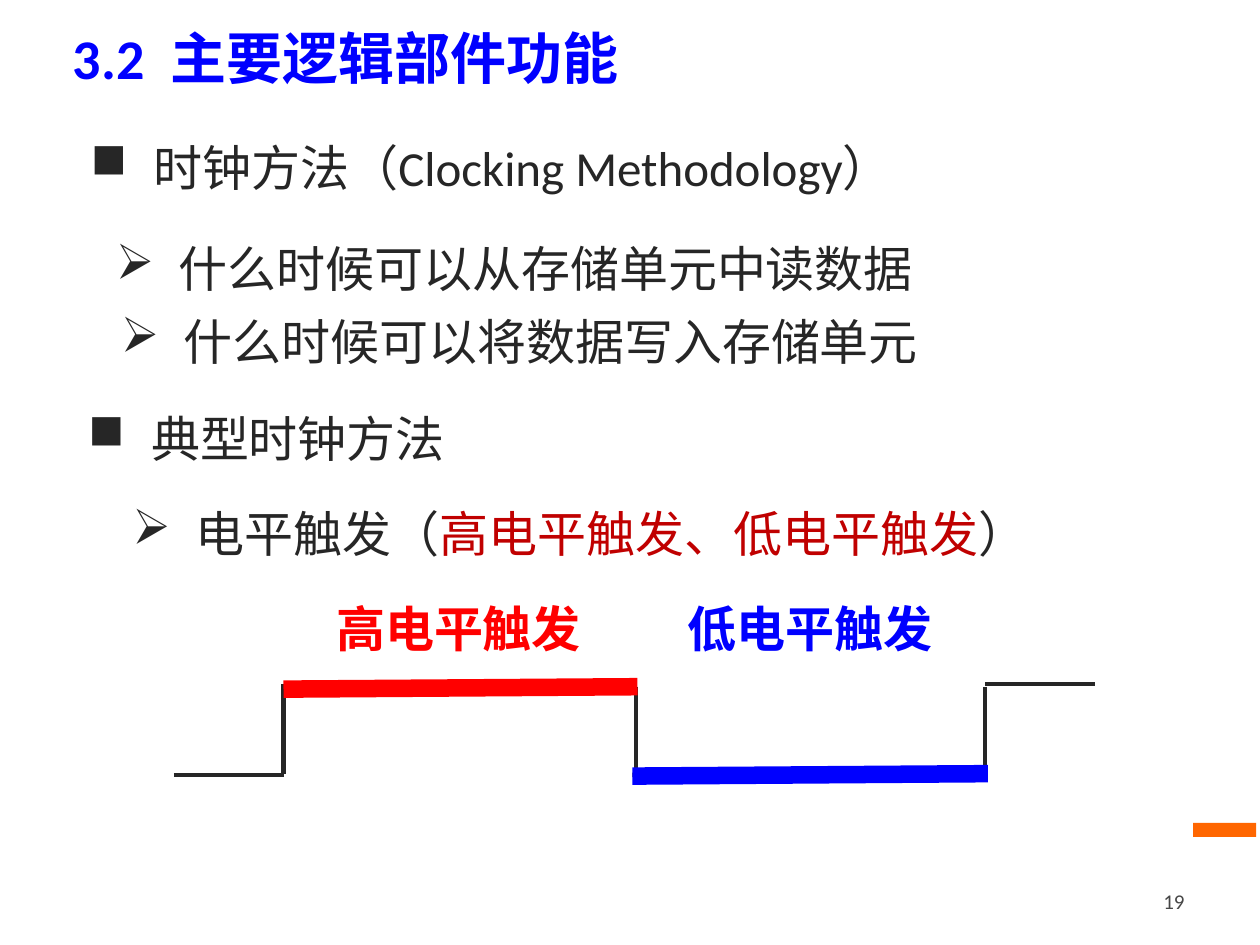
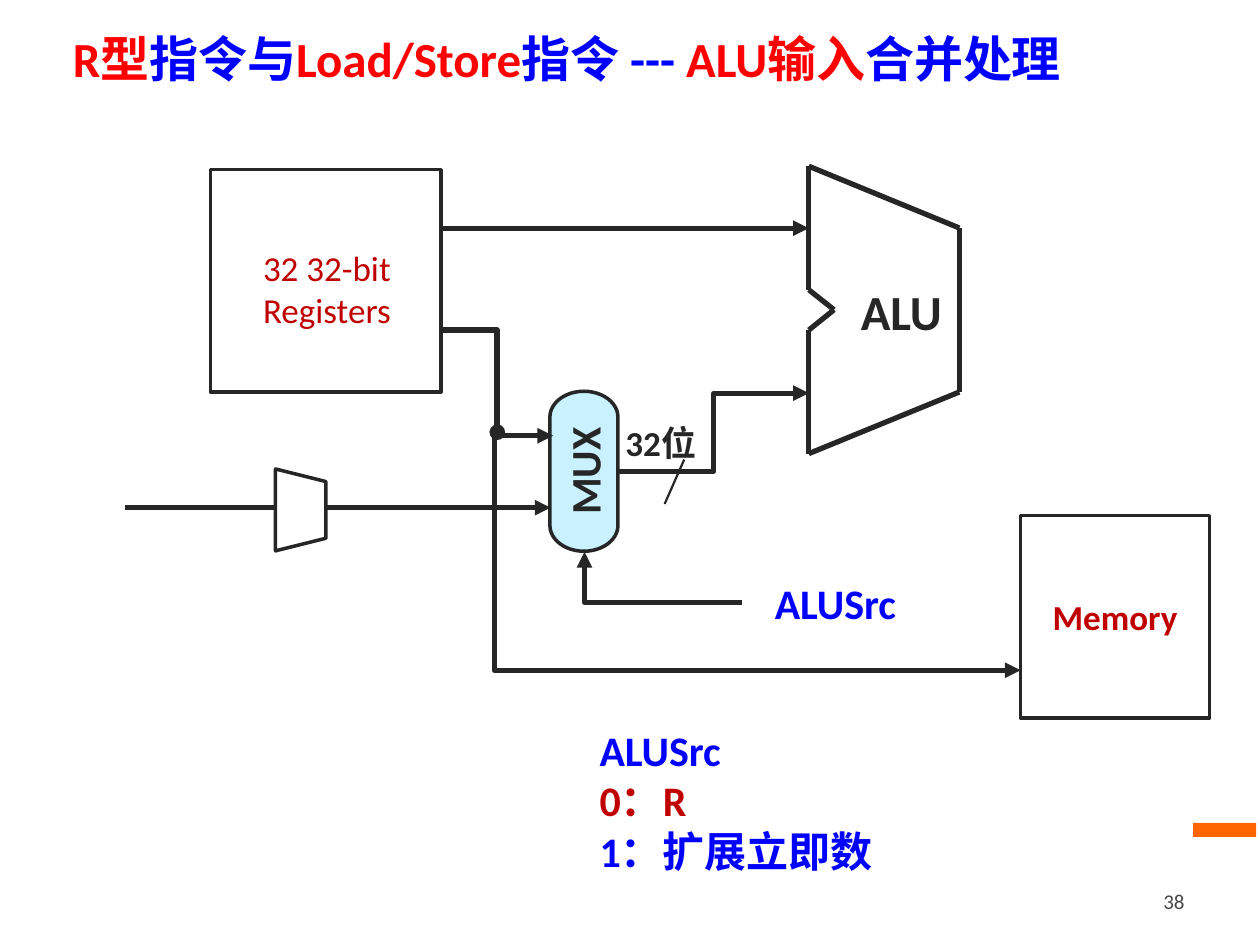
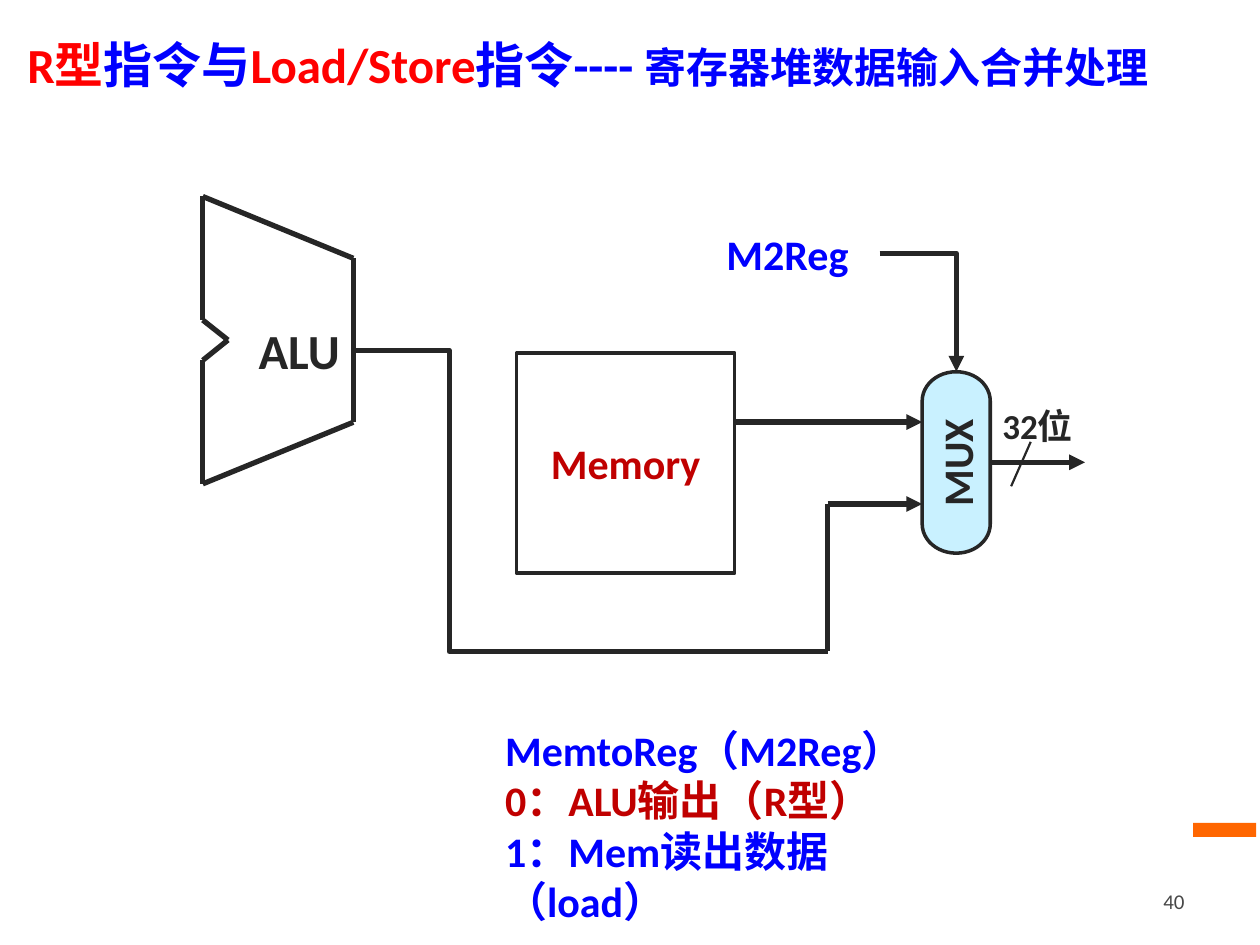
from lxml import etree
from pptx import Presentation
from pptx.dml.color import RGBColor
from pptx.enum.lang import MSO_LANGUAGE_ID
from pptx.enum.shapes import MSO_CONNECTOR, MSO_SHAPE
from pptx.enum.text import MSO_ANCHOR, MSO_AUTO_SIZE, PP_ALIGN
from pptx.oxml.ns import qn
from pptx.util import Pt

COLORS = {
    "ink": "262626", "blue": "0000FF", "red": "FF0000", "crimson": "C00000",
    "orange": "FF6600", "cyan": "C9F1FF", "white": "FFFFFF", "gray": "474747",
}
FONT = "Calibri"
WIDE_INSET = (7.9, 3.6)
# Corners of the ALU outline, from its top left corner
ALU_OUTLINE = [(0, 0), (0, 70.6), (14.4, 82), (0, 93.6),
               (0, 164.2), (86, 129), (86, 35.3)]


def rgb(name):
    return RGBColor.from_string(COLORS[name])


def write(tf, paras, size=24, color="ink", bold=True, align=PP_ALIGN.LEFT,
          bullet=None):
    """Write paragraphs; each is a string or a list of (text, color[, size])."""
    for i, para in enumerate(paras):
        p = tf.paragraphs[0] if i == 0 else tf.add_paragraph()
        p.alignment = align
        if bullet:
            pPr = p._p.get_or_add_pPr()
            pPr.set("marL", str(Pt(36)))
            pPr.set("indent", str(Pt(-36)))
            etree.SubElement(pPr, qn("a:buChar"), char=bullet)
        for text, c, *sz in [(para, color)] if isinstance(para, str) else para:
            r = p.add_run()
            r.text = text
            r.font.name = FONT
            r.font.size = Pt(sz[0] if sz else size)
            r.font.bold = bold
            r.font.color.rgb = rgb(c)
            r.font.language_id = MSO_LANGUAGE_ID.SIMPLIFIED_CHINESE


class Deck:
    def __init__(self):
        self.prs = Presentation()
        self.prs.slide_width, self.prs.slide_height = Pt(720), Pt(540)
        self.s = None

    def slide(self, title, number, x=34.6, y=5.8, w=662, size=28):
        """Start a slide with its accent bar, title and page number."""
        self.s = self.prs.slides.add_slide(self.prs.slide_layouts[6])
        self.shape(MSO_SHAPE.RECTANGLE, 681.8, 470.2, 36, 8,
                   fill="orange", line=None)
        self.text([title], x, y, w, 54, anchor=MSO_ANCHOR.MIDDLE, grow=False,
                  size=size, color="blue")
        self.text([number], 516.2, 500.4, 167.8, 28.8, grow=False,
                  anchor=MSO_ANCHOR.MIDDLE, size=12, color="gray", bold=False,
                  align=PP_ALIGN.RIGHT)

    def text(self, paras, x, y, w, h, inset=(7.2, 3.6), grow=True,
             anchor=MSO_ANCHOR.TOP, **fmt):
        tf = self.s.shapes.add_textbox(Pt(x), Pt(y), Pt(w), Pt(h)).text_frame
        tf.word_wrap = True
        tf.auto_size = (MSO_AUTO_SIZE.SHAPE_TO_FIT_TEXT if grow
                        else MSO_AUTO_SIZE.NONE)
        tf.vertical_anchor = anchor
        tf.margin_left = tf.margin_right = Pt(inset[0])
        tf.margin_top = tf.margin_bottom = Pt(inset[1])
        write(tf, paras, **fmt)

    def label(self, text, x, y, w, h, inset=(0, 0), **fmt):
        self.text([text], x, y, w, h, inset, align=PP_ALIGN.CENTER, **fmt)

    def shape(self, kind, x, y, w, h, text=None, fill=None, line="ink",
              rotation=0, **fmt):
        sp = self.s.shapes.add_shape(kind, Pt(x), Pt(y), Pt(w), Pt(h))
        sp.shadow.inherit = False
        sp.rotation = rotation
        if fill:
            sp.fill.solid()
            sp.fill.fore_color.rgb = rgb(fill)
        else:
            sp.fill.background()
        if line:
            sp.line.color.rgb = rgb(line)
            sp.line.width = Pt(2)
        else:
            sp.line.fill.background()
        if text:
            sp.text_frame.vertical_anchor = MSO_ANCHOR.MIDDLE
            write(sp.text_frame, [text], align=PP_ALIGN.CENTER, **fmt)

    def line(self, x1, y1, x2, y2, width=3, color="ink", head=None, tail=None,
             kind=MSO_CONNECTOR.STRAIGHT):
        c = self.s.shapes.add_connector(kind, Pt(x1), Pt(y1), Pt(x2), Pt(y2))
        c.line.color.rgb = rgb(color)
        c.line.width = Pt(width)
        ln = c.line._get_or_add_ln()
        for tag, end in (("a:headEnd", head), ("a:tailEnd", tail)):
            if end:
                etree.SubElement(ln, qn(tag), type=end)
        etree.SubElement(c._element.spPr, qn("a:effectLst"))
        return c

    def arrow(self, *ends):
        self.line(*ends, tail="triangle")

    def elbow(self, *ends, bend=0.5, corner=False, tail="triangle", head=None):
        """Bent connector: one corner, or two with the bend at a share of the width."""
        c = self.line(*ends, head=head, tail=tail, kind=MSO_CONNECTOR.ELBOW)
        geom = c._element.spPr.find(qn("a:prstGeom"))
        if corner:
            geom.set("prst", "bentConnector2")
        else:
            etree.SubElement(geom.find(qn("a:avLst")), qn("a:gd"), name="adj1",
                             fmla=f"val {round(bend * 100000)}")

    def alu(self, x, y, label_x, label_y):
        for (x1, y1), (x2, y2) in zip(ALU_OUTLINE,
                                      ALU_OUTLINE[1:] + ALU_OUTLINE[:1]):
            self.line(x + x1, y + y1, x + x2, y + y2)
        self.label("ALU", label_x, label_y, 62.6, 33.8, size=28)

    def mux(self, x, y, length):
        self.shape(MSO_SHAPE.FLOWCHART_TERMINATOR, x, y, length, 38.9, "MUX",
                   fill="cyan", rotation=270)

    def bus_width(self, x, y, slash_x):
        self.label("32位", x, y, 68.4, 31.7, WIDE_INSET, size=20)
        self.line(slash_x, y + 25, slash_x - 11.2, y + 50.4, width=1.25)


def clocking(d):
    d.slide("3.2  主要逻辑部件功能", "19", w=376.6, size=32)
    level = [("电平触发（", "ink"), ("高电平触发、低电平触发", "crimson"),
             ("）", "ink")]
    for bullet, para, x, y in [
        ("■", "时钟方法（Clocking Methodology）", 43.9, 74.9),
        ("➢", "什么时候可以从存储单元中读数据", 58.3, 132.5),
        ("➢", "什么时候可以将数据写入存储单元", 61.2, 174.2),
        ("■", "典型时钟方法", 42.5, 229.7),
        ("➢", level, 67.7, 284.4),
    ]:
        d.text([para], x, y, 548, 41.8, WIDE_INSET, size=28, bold=False,
               bullet=bullet)
    # Clock wave
    for ends in [(162, 391, 162, 442.1), (161.3, 392.4, 363.6, 391),
                 (99.4, 442.8, 162, 442.8), (363.6, 392.4, 363.6, 443.5),
                 (563, 392.4, 563, 443.5), (563, 391, 625.7, 391),
                 (361.4, 442.8, 564.5, 441.4)]:
        d.line(*ends, width=2.5)
    # Trigger levels
    for name, color, x, ends in [
        ("高电平触发", "red", 181.4, (162, 393.8, 364.3, 392.4)),
        ("低电平触发", "blue", 382.3, (361.4, 443.5, 564.5, 442.1)),
    ]:
        d.label(name, x, 338.4, 161.3, 41.8, WIDE_INSET, size=28, color=color)
        d.line(*ends, width=10, color=color)


TITLE_START = [("R型", "red"), ("指令与", "blue"), ("Load/Store", "red")]


def alu_input(d):
    d.slide(TITLE_START + [("指令 --- ", "blue"), ("ALU输入", "red"),
                           ("合并处理", "blue")], "38")
    # Registers and ALU
    d.shape(MSO_SHAPE.RECTANGLE, 120.3, 97, 131.7, 127)
    d.arrow(252, 130.4, 462.2, 130.4)
    d.text(["32 32-bit", "Registers"], 126, 137.5, 121.7, 56.2, WIDE_INSET,
           size=20, color="crimson", bold=False, align=PP_ALIGN.CENTER)
    d.alu(462.2, 95, 483.8, 160.6)
    # Multiplexer with its inputs and output
    d.elbow(353.5, 269.3, 462.2, 224.7)
    d.mux(288, 249.8, 91.4)
    d.elbow(252, 188.6, 316.1, 249)
    d.arrow(71.3, 290.1, 314.6, 290.1)
    d.shape(MSO_SHAPE.TRAPEZOID, 148.4, 277, 46.8, 28.8, fill="white",
            rotation=90)
    d.elbow(424.1, 344.2, 334, 315.4, corner=True)
    d.label("ALUSrc", 424.1, 329.8, 106.6, 28.8, color="blue")
    # Memory
    d.shape(MSO_SHAPE.RECTANGLE, 583.2, 294.5, 108, 116, "Memory",
            fill="white", size=20, color="crimson")
    d.elbow(284.2, 247, 583.2, 383, bend=-0.006, head="oval")
    # Legend
    d.text([[("ALUSrc", "blue")], [("0：R", "crimson")],
            [("1：扩展立即数", "blue")]], 335.5, 410.4, 178.6, 94.3)
    d.bus_width(343.4, 237.6, 391)


def register_input(d):
    d.slide(TITLE_START + [("指令---- ", "blue"),
                           ("寄存器堆数据输入合并处理", "blue", 24)],
            "40", x=8.6, y=9.4, w=734.4)
    # ALU and memory
    d.alu(115.9, 112.3, 139.7, 182.9)
    d.elbow(201.6, 200.2, 473, 372.2, bend=0.203, tail=None)
    d.shape(MSO_SHAPE.RECTANGLE, 295.2, 201.6, 124.6, 126, "Memory",
            fill="white", color="crimson")
    # Multiplexer with its inputs and output
    d.mux(494.6, 244.8, 103.7)
    d.arrow(419.8, 241.2, 527, 241.2)
    d.arrow(473, 288, 527, 288)
    d.line(473, 288, 473, 372.2)
    d.label("M2Reg", 396.7, 130.3, 106.6, 28.8, color="blue")
    d.elbow(502.6, 144.7, 546.5, 212.4, corner=True)
    d.arrow(566, 264.2, 620, 264.2)
    # Legend
    d.text([[("MemtoReg（M2Reg）", "blue")], [("0：ALU输出（R型）", "crimson")],
            [("1：Mem读出数据（load）", "blue")]], 281.5, 410.4, 284.4, 94.3)
    d.bus_width(558.7, 227.5, 589)


def main():
    d = Deck()
    for build in (clocking, alu_input, register_input):
        build(d)
    d.prs.save("out.pptx")


if __name__ == "__main__":
    main()
